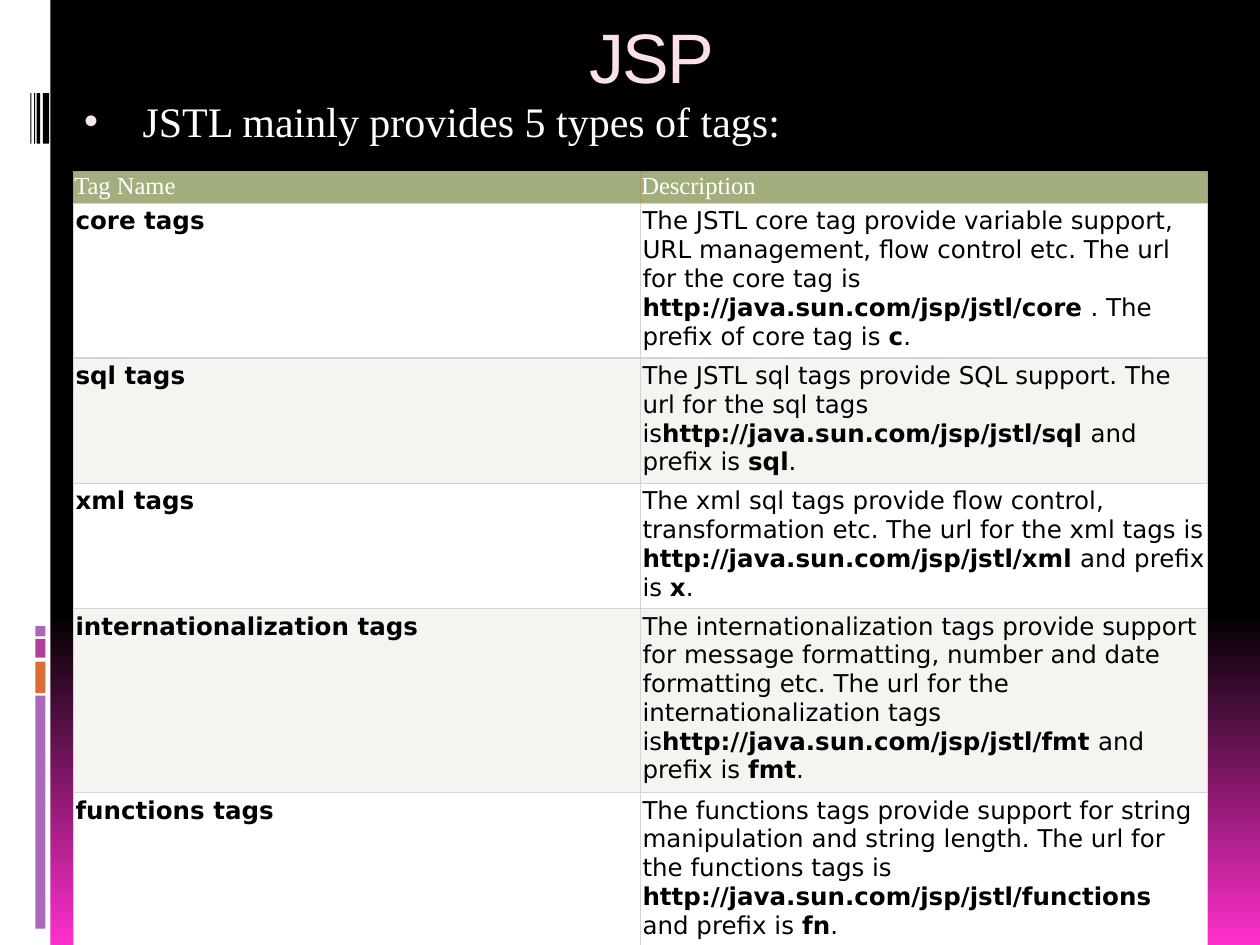
"""Build the JSP slide that lists the five kinds of JSTL tags."""
from lxml.etree import SubElement
from pptx import Presentation
from pptx.dml.color import RGBColor
from pptx.enum.shapes import MSO_SHAPE as Shape
from pptx.enum.text import PP_ALIGN as Align
from pptx.oxml.ns import qn
from pptx.util import Inches, Pt

TITLE = "JSP"
BULLET = " JSTL mainly provides 5 types of tags:"
HEADERS = ("Tag Name", "Description")
TAGS = [
    ("core tags", 1.2, (
        "The JSTL core tag provide variable support, URL management, flow control etc. "
        "The url for the core tag is ",
        "http://java.sun.com/jsp/jstl/core", " . The prefix of core tag is ", "c", ".")),
    ("sql tags", 0.97, (
        "The JSTL sql tags provide SQL support. The url for the sql tags is",
        "http://java.sun.com/jsp/jstl/sql", " and prefix is ", "sql", ".")),
    ("xml tags", 0.97, (
        "The xml sql tags provide flow control, transformation etc. "
        "The url for the xml tags is ",
        "http://java.sun.com/jsp/jstl/xml", " and prefix is ", "x", ".")),
    ("internationalization tags", 1.42, (
        "The internationalization tags provide support for message formatting, "
        "number and date formatting etc. The url for the internationalization tags is",
        "http://java.sun.com/jsp/jstl/fmt", " and prefix is ", "fmt", ".")),
    ("functions tags", 1.2, (
        "The functions tags provide support for string manipulation and string length. "
        "The url for the functions tags is ",
        "http://java.sun.com/jsp/jstl/functions", " and prefix is ", "fn", ".")),
]
SIDE_BARS = [
    (0, 0, 0.4, 7.5, "FFFFFF"),
    (0.28, 5.52, 0.08, 1.85, "AC66BB"),
    (0.28, 5.25, 0.08, 0.25, "DE6C36"),
    (0.28, 5.07, 0.08, 0.15, "B13F9A"),
    (0.28, 4.97, 0.08, 0.08, "AC66BB"),
    (0.34, 0.74, 0.05, 0.4, "000000"),
    (0.29, 0.74, 0.03, 0.4, "000000"),
    (0.27, 0.74, 0.01, 0.4, "000000"),
    (0.24, 0.74, 0.01, 0.4, "000000"),
]
HEADER_HEIGHT = 0.25
GRID, HEADER_GRID = "D4D4D4", "AB9A61"
ROW_FILLS = ("FFFFFF", "F6F4F0")


def rgb(value):
    """Turn a hex string into a colour."""
    return RGBColor.from_string(value)


def set_font(paragraph, name, size, color):
    """Set the font of a whole paragraph."""
    font = paragraph.font
    font.name, font.size = name, Pt(size)
    font.color.rgb = rgb(color)


def add_bar(slide, left, top, width, height, color):
    """Add one plain bar of the side decoration."""
    box = map(Inches, (left, top, width, height))
    shape = slide.shapes.add_shape(Shape.RECTANGLE, *box)
    shape.shadow.inherit = False
    shape.fill.solid()
    shape.fill.fore_color.rgb = rgb(color)
    shape.line.fill.background()


def add_text(slide, box, margin_top, text):
    """Add a text box and return its paragraph."""
    frame = slide.shapes.add_textbox(*map(Inches, box)).text_frame
    frame.word_wrap = True
    frame.margin_top = Inches(margin_top)
    paragraph = frame.paragraphs[0]
    paragraph.add_run().text = text
    return paragraph


def add_bullet(paragraph):
    """Give a paragraph a hanging bullet."""
    properties = paragraph._p.get_or_add_pPr()
    properties.set("marL", str(Inches(0.45)))
    properties.set("indent", str(Inches(-0.38)))
    color = SubElement(properties, qn("a:buClr"))
    SubElement(color, qn("a:srgbClr"), val="F4E7ED")
    SubElement(properties, qn("a:buSzPct"), val="95000")
    SubElement(properties, qn("a:buFont"), typeface="Arial")
    SubElement(properties, qn("a:buChar"), char="•")


def fill_cell(cell, parts, font, color, fill, edge, margins, bold_first):
    """Write runs of alternating weight into a cell and style it."""
    cell.margin_left = cell.margin_right = Inches(margins[0])
    cell.margin_top = cell.margin_bottom = Inches(margins[1])
    paragraph = cell.text_frame.paragraphs[0]
    for index, part in enumerate(parts):
        run = paragraph.add_run()
        run.text = part
        run.font.bold = bold_first != (index % 2 == 1)
    set_font(paragraph, font, 14, color)
    properties = cell._tc.get_or_add_tcPr()
    for side in "LRTB":
        line = SubElement(properties, qn(f"a:ln{side}"), w=str(Pt(0.75)))
        solid = SubElement(line, qn("a:solidFill"))
        SubElement(solid, qn("a:srgbClr"), val=GRID if side == "B" else edge)
    cell.fill.solid()
    cell.fill.fore_color.rgb = rgb(fill)


def add_tag_table(slide):
    """Add the table of tags."""
    heights = [HEADER_HEIGHT] + [height for _, height, _ in TAGS]
    box = map(Inches, (0.58, 1.36, 9, sum(heights)))
    table = slide.shapes.add_table(len(heights), len(HEADERS), *box).table
    table.horz_banding = False
    for row, height in zip(table.rows, heights):
        row.height = Inches(height)
    for column, header in enumerate(HEADERS):
        fill_cell(table.cell(0, column), [header], "Times New Roman", "FFFFFF",
                  "A3AE7E", HEADER_GRID, (0.01, 0.01), False)
    for row, (name, _, description) in enumerate(TAGS, 1):
        for column, parts in enumerate(([name], description)):
            fill_cell(table.cell(row, column), parts, "DejaVu Sans", "000000",
                      ROW_FILLS[(row - 1) % 2], GRID, (0.02, 0.03), column == 0)


def main():
    """Assemble and save the slide."""
    presentation = Presentation()
    presentation.slide_width, presentation.slide_height = Inches(10), Inches(7.5)
    slide = presentation.slides.add_slide(presentation.slide_layouts[6])
    background = slide.background.fill
    background.gradient()
    background.gradient_angle = 270
    stops = ((0.65, "000000"), (1, "FF2FCD"))
    for stop, (position, color) in zip(background.gradient_stops, stops):
        stop.position = position
        stop.color.rgb = rgb(color)
    for bar in SIDE_BARS:
        add_bar(slide, *bar)

    title = add_text(slide, (0.92, 0, 8.5, 1), 0.11, TITLE)
    title.alignment = Align.CENTER
    set_font(title, "Arial", 40, "FBE0EC")
    title.runs[0]._r.get_or_add_rPr().set("spc", "-100")

    intro = add_text(slide, (0.5, 0.67, 9.5, 0.6), 0.09, BULLET)
    add_bullet(intro)
    set_font(intro, "Times New Roman", 24, "FFFFFF")
    add_tag_table(slide)
    presentation.save("out.pptx")


if __name__ == "__main__":
    main()
